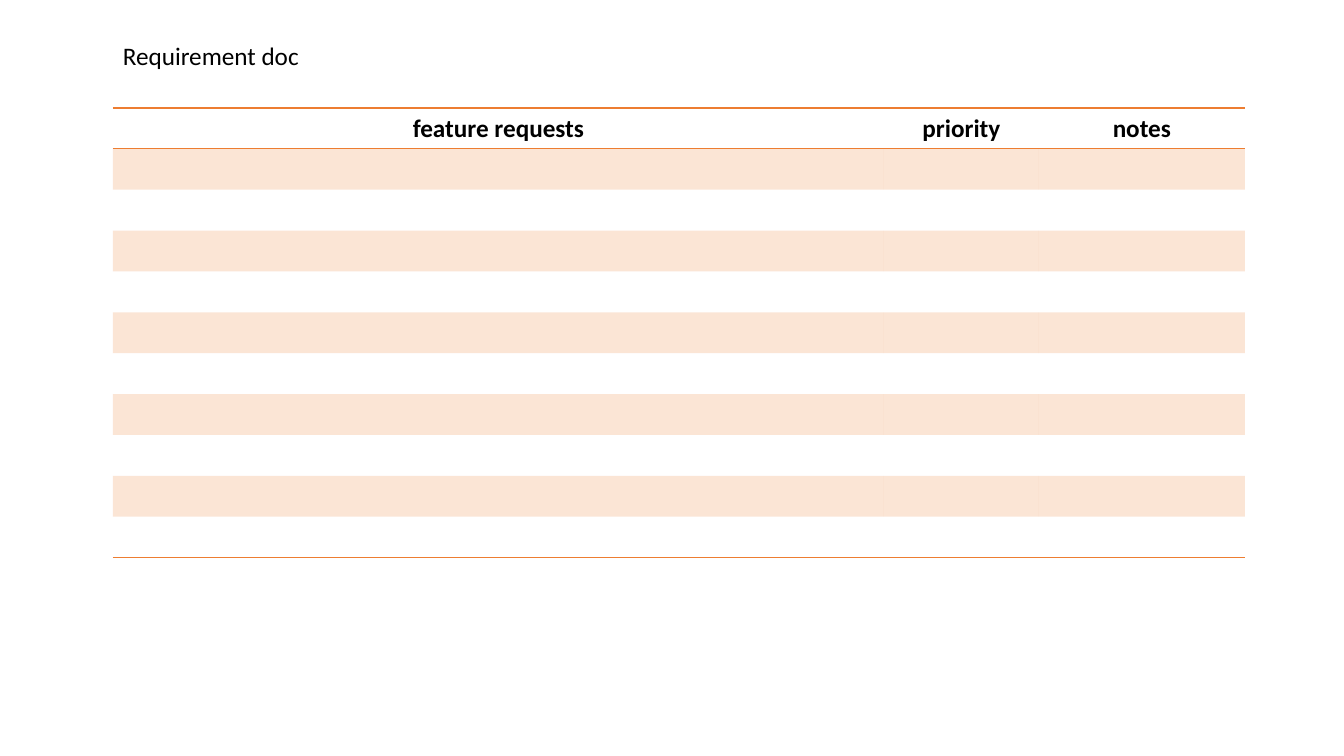
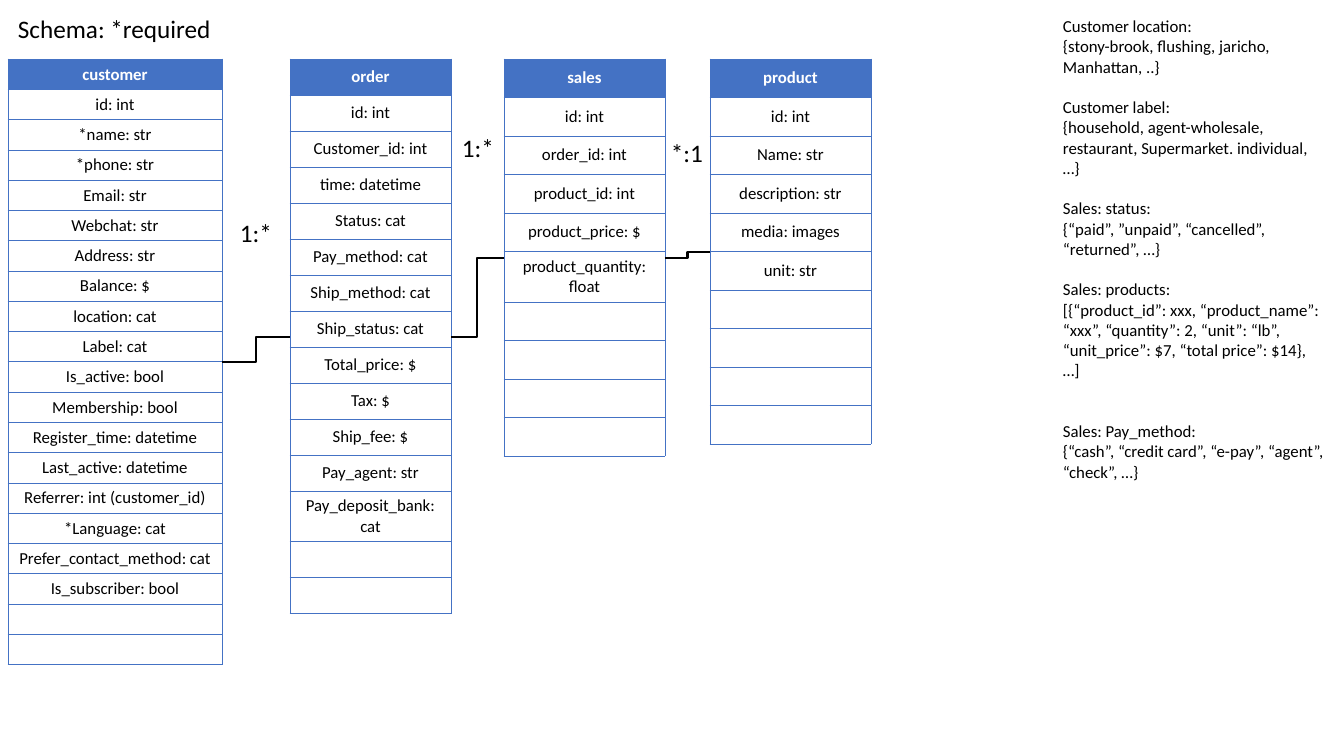
from lxml.etree import SubElement
from pptx import Presentation
from pptx.dml.color import RGBColor
from pptx.enum.shapes import MSO_CONNECTOR as Connector
from pptx.enum.text import MSO_ANCHOR as Anchor, MSO_AUTO_SIZE as AutoSize, PP_ALIGN as Align
from pptx.oxml.ns import qn
from pptx.util import Emu, Pt

FONT = "Calibri"
BLACK, WHITE = "000000", "FFFFFF"
BLUE, ORANGE = "4472C4", "ED7D31"
LABEL_SIZE, SMALL_SIZE = 18, 12
SMALL_LINE = 14.65
NO_STYLE = "{2D5ABB26-0587-4C30-8999-92F81FD0307C}"

SCHEMA_TOP = 59
ENTITIES = [
    # left, width, height, rows, fields
    (8, 214, 605, 20, [
        "customer", "id: int", "*name: str", "*phone: str", "Email: str",
        "Webchat: str", "Address: str", "Balance: $", "location: cat",
        "Label: cat", "Is_active: bool", "Membership: bool",
        "Register_time: datetime", "Last_active: datetime",
        "Referrer: int (customer_id)", "*Language: cat",
        "Prefer_contact_method: cat", "Is_subscriber: bool"]),
    (290, 161, 540, 15, [
        "order", "id: int", "Customer_id: int", "time: datetime",
        "Status: cat", "Pay_method: cat", "Ship_method: cat",
        "Ship_status: cat", "Total_price: $", "Tax: $", "Ship_fee: $",
        "Pay_agent: str", "Pay_deposit_bank: cat"]),
    (504, 161, 385, 10, [
        "sales", "id: int", "order_id: int", "product_id: int",
        "product_price: $", "product_quantity: float"]),
    (710, 161, 385, 10, [
        "product", "id: int", "Name: str", "description: str",
        "media: images", "unit: str"]),
]
RELATIONS = [
    # start point, end point
    ((290, 337), (222, 362)),
    ((504, 258), (451, 337)),
    ((665, 258), (710, 252)),
]
CARDINALITIES = [(230, 212, "1:*"), (452, 127, "1:*"), (661, 132, "*:1")]
NOTES = [
    # blank lines above, heading, values
    (0, "Customer location:", "{stony-brook, flushing, jaricho, Manhattan, ..}"),
    (1, "Customer label:",
     "{household, agent-wholesale, restaurant, Supermarket. individual, …}"),
    (1, "Sales: status:", "{“paid”, ”unpaid”, “cancelled”, “returned”, …}"),
    (1, "Sales: products:",
     "[{“product_id”: xxx, “product_name”: “xxx”, “quantity”: 2, “unit”: “lb”, "
     "“unit_price”: $7, “total price”: $14}, …]"),
    (2, "Sales: Pay_method:",
     "{“cash”, “credit card”, “e-pay”, “agent”, “check”, …}"),
]


def px(length):
    """Turn pixels into EMU."""
    return Emu(round(length * 914400 / 100.8))


def rgb(value):
    """Turn a hex string into a colour."""
    return RGBColor.from_string(value)


def add_run(paragraph, text, size, color=BLACK, bold=False):
    """Add one styled run to a paragraph."""
    run = paragraph.add_run()
    run.text = text
    run.font.name, run.font.size, run.font.bold = FONT, Pt(size), bold
    run.font.color.rgb = rgb(color)


def add_text_frame(slide, left, top, width, height, wrap):
    """Add an empty text box and return its text frame."""
    frame = slide.shapes.add_textbox(px(left), px(top), px(width), px(height)).text_frame
    frame.word_wrap = wrap
    frame.auto_size = AutoSize.SHAPE_TO_FIT_TEXT
    return frame


def add_label(slide, left, top, width, text):
    """Add a one-line label."""
    frame = add_text_frame(slide, left, top, width, 40, False)
    add_run(frame.paragraphs[0], text, LABEL_SIZE)


def add_plain_table(slide, left, top, height, rows, widths):
    """Add a table without style, with equal rows."""
    table = slide.shapes.add_table(
        rows, len(widths), px(left), px(top), px(sum(widths)), px(height)).table
    table.first_row = table.horz_banding = False
    table._tbl.tblPr.find(qn("a:tableStyleId")).text = NO_STYLE
    for column, width in zip(table.columns, widths):
        column.width = px(width)
    for row in table.rows:
        row.height = px(height / rows)
    return table


def set_borders(cell, sides, color, points):
    """Draw the named sides (out of LRTB) of a cell."""
    properties = cell._tc.get_or_add_tcPr()
    for side in sides:
        line = SubElement(properties, qn("a:ln" + side), w=str(Pt(points)))
        fill = SubElement(line, qn("a:solidFill"))
        SubElement(fill, qn("a:srgbClr"), val=color)


def fill_cell(cell, color=None, alpha=100):
    """Fill a cell with a colour at alpha percent, or with nothing."""
    if color is None:
        cell.fill.background()
        return
    cell.fill.solid()
    cell.fill.fore_color.rgb = rgb(color)
    if alpha < 100:
        solid = cell._tc.tcPr.find(qn("a:solidFill"))
        SubElement(solid[0], qn("a:alpha"), val=str(alpha * 1000))


def write_cell(cell, text, size, color=BLACK, bold=False):
    """Centre text in a cell; an empty cell only keeps the text size."""
    cell.vertical_anchor = Anchor.MIDDLE
    paragraph = cell.text_frame.paragraphs[0]
    paragraph.alignment = Align.CENTER
    if text:
        add_run(paragraph, text, size, color, bold)
    else:
        SubElement(paragraph._p, qn("a:endParaRPr"), sz=str(size * 100))


def add_request_table(slide, left, top, height, rows, widths, headings):
    """Add the banded table of feature requests."""
    table = add_plain_table(slide, left, top, height, rows, widths)
    ruled = {0: "TB", rows - 1: "B"}
    for index, row in enumerate(table.rows):
        for cell, heading in zip(row.cells, headings):
            set_borders(cell, ruled.get(index, ""), ORANGE, 1)
            fill_cell(cell, ORANGE if index % 2 else None, 20)
            write_cell(cell, "" if index else heading, LABEL_SIZE, bold=True)


def add_entity(slide, left, top, width, height, rows, fields):
    """Add one schema entity: a blue name row above its fields."""
    table = add_plain_table(slide, left, top, height, rows, [width])
    for index in range(rows):
        cell = table.cell(index, 0)
        is_name = index == 0
        set_borders(cell, "LRTB", BLUE, 0.5)
        fill_cell(cell, BLUE if is_name else None)
        text = fields[index] if index < len(fields) else ""
        write_cell(cell, text, SMALL_SIZE, WHITE if is_name else BLACK, is_name)


def add_relation(slide, start, end):
    """Join two entities with an elbow line."""
    connector = slide.shapes.add_connector(
        Connector.ELBOW, *(px(value) for value in (*start, *end)))
    connector.line.color.rgb = rgb(BLACK)
    connector.line.width = Pt(1.5)
    SubElement(connector._element.spPr, qn("a:effectLst"))


def add_notes_column(slide, left, top, width, height):
    """List the values allowed in the category fields."""
    frame = add_text_frame(slide, left, top, width, height, True)
    paragraph = frame.paragraphs[0]
    for gap, heading, values in NOTES:
        if gap:
            paragraph = frame.add_paragraph()
            paragraph.space_before = Pt(gap * SMALL_LINE)
        add_run(paragraph, heading, SMALL_SIZE)
        add_run(frame.add_paragraph(), values, SMALL_SIZE)


def build_requirements(slide):
    """Build the requirement slide."""
    add_request_table(slide, 113, 108, 450, 11, [771, 155, 206],
                      ["feature requests", "priority", "notes"])
    add_label(slide, 113, 35, 199, "Requirement doc")


def build_schema(slide):
    """Build the schema slide."""
    add_label(slide, 8, 8, 222, "Schema: *required")
    for left, width, height, rows, fields in ENTITIES:
        add_entity(slide, left, SCHEMA_TOP, width, height, rows, fields)
    for start, end in RELATIONS:
        add_relation(slide, start, end)
    for left, top, text in CARDINALITIES:
        add_label(slide, left, top, 52, text)
    add_notes_column(slide, 1053, 11, 283, 479)


def main():
    """Build and save the presentation."""
    presentation = Presentation()
    presentation.slide_width, presentation.slide_height = px(1344), px(756)
    for build in (build_requirements, build_schema):
        build(presentation.slides.add_slide(presentation.slide_layouts[6]))
    presentation.save("out.pptx")


main()
